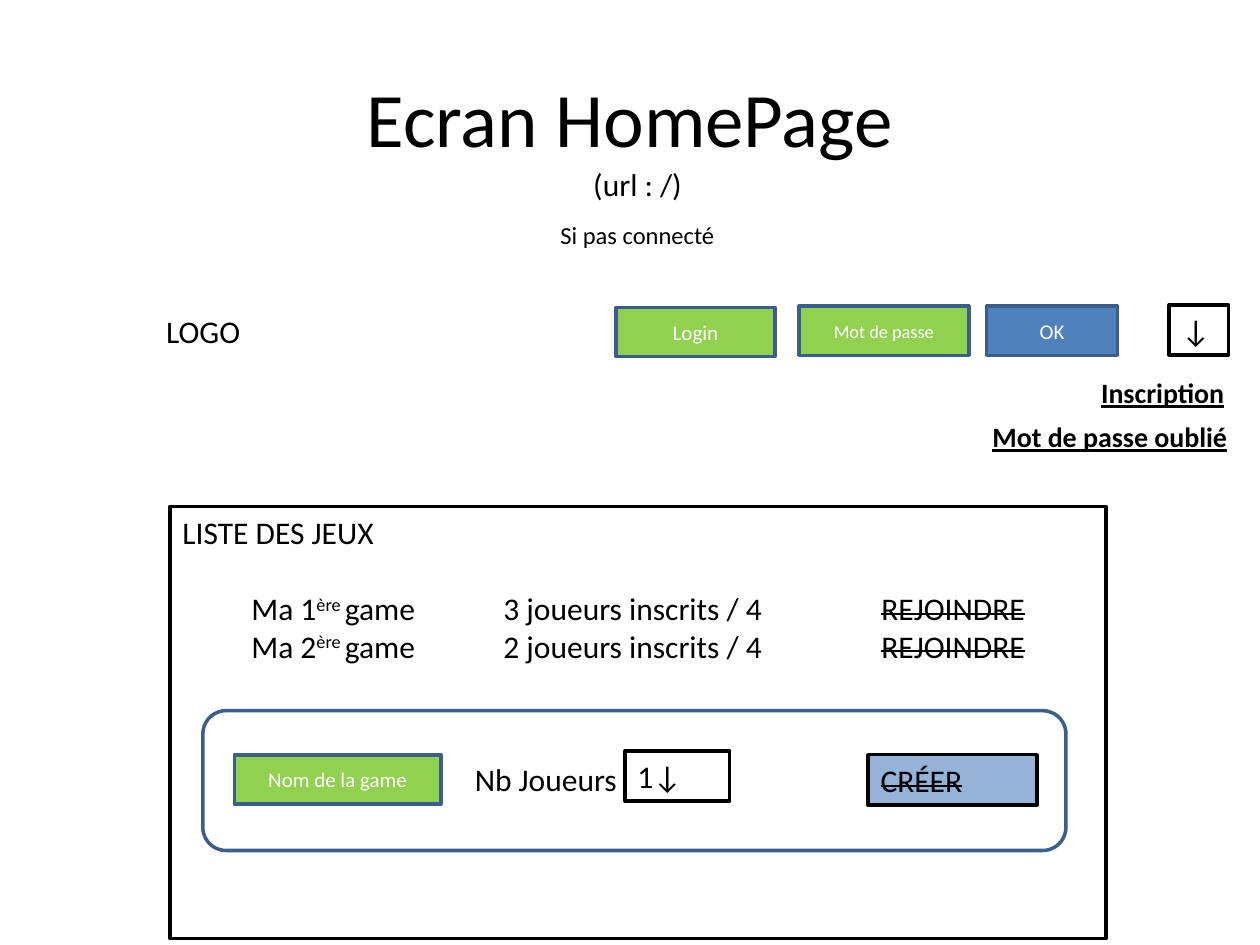
"""Build the home page wireframe slide shown to visitors who are not connected."""
import pptx
import pptx.util
import pptx.dml.color
import pptx.enum.shapes
import pptx.enum.text
import pptx.oxml
import pptx.oxml.ns

Inches, Pt = pptx.util.Inches, pptx.util.Pt
RGB = pptx.dml.color.RGBColor.from_string
ALIGN = pptx.enum.text.PP_ALIGN
ANCHOR = pptx.enum.text.MSO_ANCHOR
SHAPE = pptx.enum.shapes.MSO_SHAPE

THEME = {
    "font": "Calibri",
    "black": "000000", "white": "FFFFFF", "green": "92D050",
    "blue": "4F81BD", "pale": "95B3D7", "edge": "3A5F8C",
    "title": 44, "body": 18, "link": 16, "note": 14, "field": 12, "small": 10.5,
    "border": 2,
}
STRIKE = {"strike": "sngStrike"}
SUPERSCRIPT = {"baseline": "30000"}
LINK = {"bold": True, "underline": True}


def add_run(paragraph, text, size, color, formats=None, marks=None):
    """Append a run with font formats and XML character marks."""
    run = paragraph.add_run()
    run.text = text
    values = {"name": THEME["font"], "size": Pt(THEME[size]), **(formats or {})}
    for attribute, value in values.items():
        setattr(run.font, attribute, value)
    run.font.color.rgb = RGB(THEME[color])
    for mark, value in (marks or {}).items():
        run.font._element.set(mark, value)


def add_block(box, text="", size="body", color="black", fill=None, line=None,
              outline=SHAPE.RECTANGLE, align=ALIGN.LEFT, anchor=ANCHOR.TOP,
              wrap=True, formats=None, marks=None):
    """Place a text box, or a bordered shape when a line colour is given."""
    place = [Inches(length) for length in box]
    if line:
        block = slide.shapes.add_shape(outline, *place)
        block.shadow.inherit = False
        block.line.color.rgb = RGB(THEME[line])
        block.line.width = Pt(THEME["border"])
    else:
        block = slide.shapes.add_textbox(*place)
    if fill:
        block.fill.solid()
        block.fill.fore_color.rgb = RGB(THEME[fill])
    else:
        block.fill.background()
    frame = block.text_frame
    for attribute, value in {"word_wrap": wrap, "vertical_anchor": anchor}.items():
        setattr(frame, attribute, value)
    frame.paragraphs[0].alignment = align
    if text:
        add_run(frame.paragraphs[0], text, size, color, formats, marks)
    return block


centred = {"align": ALIGN.CENTER, "anchor": ANCHOR.MIDDLE}
field = {"size": "field", "color": "white", "fill": "green", "line": "edge", **centred}
framed = {"fill": "white", "line": "black"}
link = {"size": "link", "formats": LINK}

presentation = pptx.Presentation()
presentation.slide_width = Inches(10)
presentation.slide_height = Inches(7.5)
slide = presentation.slides.add_slide(presentation.slide_layouts[6])

add_block((0.5, 0.3, 9, 1.25), "Ecran HomePage", size="title", **centred)
add_block((4.61, 1.26, 0.92, 0.4), "(url : /)", wrap=False)
add_block((4.35, 1.7, 1.43, 0.34), "Si pas connecté", size="note", wrap=False)

add_block((1.22, 2.43, 1.73, 0.4), "LOGO")
add_block((4.89, 2.44, 1.26, 0.39), "Login", **field)
add_block((6.34, 2.43, 1.35, 0.39), "Mot de passe", **{**field, "size": "small"})
add_block((7.83, 2.43, 1.04, 0.39), "OK", **{**field, "fill": "blue"})
add_block((9.28, 2.42, 0.47, 0.4), "↓", **framed)
add_block((8.64, 2.93, 1.29, 0.37), "Inscription", **link)
add_block((7.08, 3.28, 2.76, 0.37), "Mot de passe oublié", align=ALIGN.RIGHT, **link)

games_panel = add_block((1.35, 4.02, 7.43, 3.43), "LISTE DES JEUX", **framed)
for rank, players, gap in ((1, 3, 22), (2, 2, 0)):
    game = games_panel.text_frame.add_paragraph()
    game.alignment = ALIGN.CENTER
    game.space_before = Pt(gap)
    tabs = pptx.oxml.parse_xml(f"<a:tabLst {pptx.oxml.ns.nsdecls('a')}/>")
    for stop in (2, 5):
        tab = pptx.oxml.parse_xml(f"<a:tab {pptx.oxml.ns.nsdecls('a')} algn='l'/>")
        tab.set("pos", str(Inches(stop)))
        tabs.append(tab)
    game._p.get_or_add_pPr().append(tabs)
    for text, marks in ((f"Ma {rank}", None), ("ère ", SUPERSCRIPT),
                        (f"game\t{players} joueurs inscrits / 4\t", None),
                        ("REJOINDRE", STRIKE)):
        add_run(game, text, "body", "black", marks=marks)

add_block((6.89, 5.99, 1.34, 0.4), "CRÉER", marks=STRIKE, **{**framed, "fill": "pale"})
add_block((1.61, 5.64, 6.85, 1.11), line="edge", outline=SHAPE.ROUNDED_RECTANGLE)
add_block((1.86, 5.99, 1.64, 0.39), "Nom de la game", **field)
add_block((4.96, 5.96, 0.83, 0.4), "1↓", **framed)
add_block((3.67, 5.98, 2.27, 0.4), "Nb Joueurs")

presentation.save("out.pptx")
